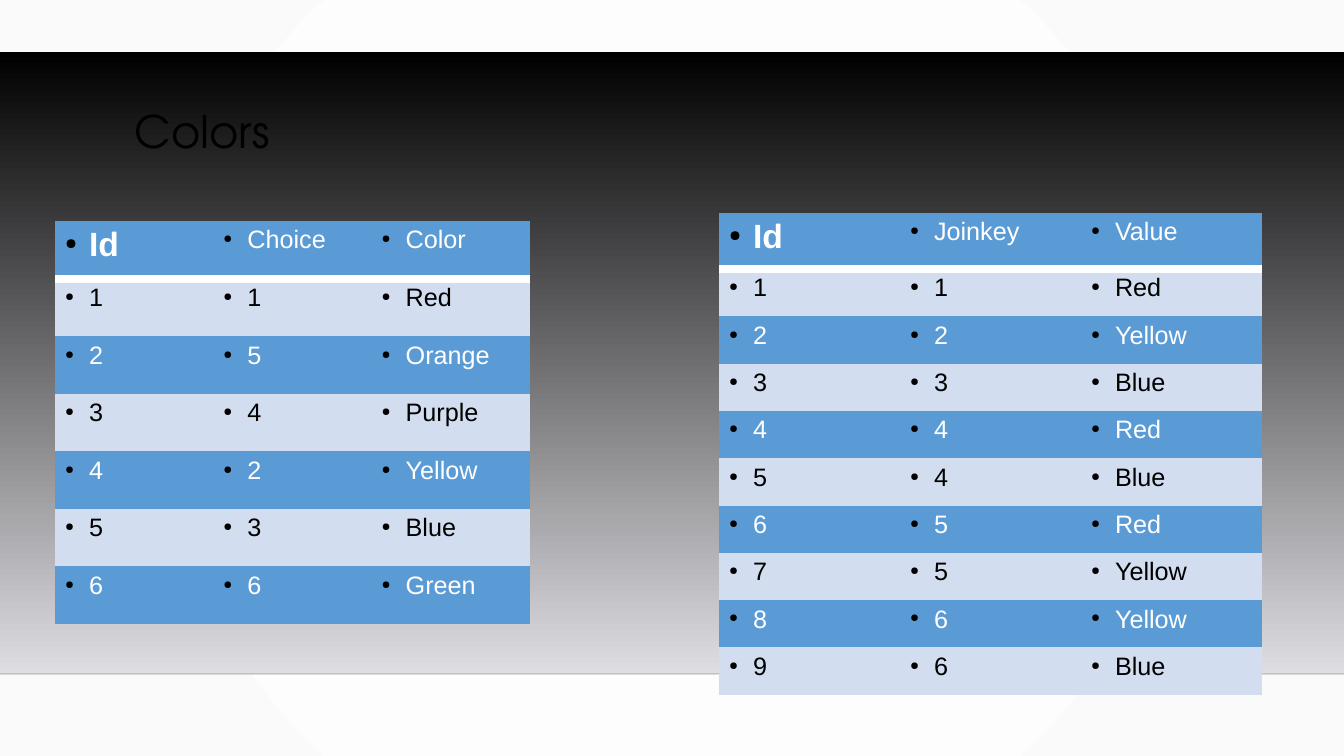
from pptx import Presentation
from pptx.dml.color import RGBColor
from pptx.enum.shapes import MSO_CONNECTOR, MSO_SHAPE
from pptx.enum.text import MSO_ANCHOR
from pptx.oxml import parse_xml
from pptx.oxml.ns import nsdecls, qn
from pptx.util import Pt

RECT = MSO_SHAPE.RECTANGLE
STRAIGHT = MSO_CONNECTOR.STRAIGHT
TOP = MSO_ANCHOR.TOP

W, H = 1344, 756
SCALE = 12192000 / W
BAND_TOP, BAND_BOTTOM = 52, 674
INDENT = 24
NO_STYLE = "{2D5ABB26-0587-4C30-8999-92F81FD0307C}"

COLORS = {
    "black": "000000", "white": "FFFFFF", "paper": "FAFAFA",
    "silver": "DEDEE2", "blue": "5B9BD5", "pale": "D2DEEF", "edge": "000001",
}
TITLE = {"text": "Colors", "box": (125, 105, 1058, 116)}
TITLE_FONT = {"name": "TeX Gyre Adventor", "size": Pt(32)}
KEY_FONT = {"name": "Arial", "size": Pt(24), "bold": True}
CELL_FONT = {"name": "Arial", "size": Pt(18), "bold": False}

TABLES = [
    {"box": (719, 213, 543, 482), "header": 56, "rows": [
        ("Id", "Joinkey", "Value"),
        ("1", "1", "Red"),
        ("2", "2", "Yellow"),
        ("3", "3", "Blue"),
        ("4", "4", "Red"),
        ("5", "4", "Blue"),
        ("6", "5", "Red"),
        ("7", "5", "Yellow"),
        ("8", "6", "Yellow"),
        ("9", "6", "Blue"),
    ]},
    {"box": (55, 221, 475, 403), "header": 58, "rows": [
        ("Id", "Choice", "Color"),
        ("1", "1", "Red"),
        ("2", "5", "Orange"),
        ("3", "4", "Purple"),
        ("4", "2", "Yellow"),
        ("5", "3", "Blue"),
        ("6", "6", "Green"),
    ]},
]


def px(n):
    return round(n * SCALE)


def rgb(name):
    return RGBColor.from_string(COLORS[name])


def xml(tag, attrs="", inner=""):
    return parse_xml(f'<a:{tag} {nsdecls("a")} {attrs}>{inner}</a:{tag}>')


def solid(name, inner=""):
    return f'<a:srgbClr val="{COLORS[name]}">{inner}</a:srgbClr>'


def set_gradient(fill, names):
    fill.gradient()
    for stop, name, position in zip(fill.gradient_stops, names, (0, 1)):
        stop.color.rgb = rgb(name)
        stop.position = position


def add_run(p, text, font, color):
    r = p.add_run()
    r.text = text
    for key, value in font.items():
        setattr(r.font, key, value)
    r.font.color.rgb = rgb(color)


def add_bullet(p):
    pPr = p._p.get_or_add_pPr()
    pPr.set("marL", str(px(INDENT)))
    pPr.set("indent", str(-px(INDENT)))
    pPr.append(xml("buClr", inner=solid("black")))
    pPr.append(xml("buSzPct", 'val="45000"'))
    pPr.append(xml("buChar", 'char="●"'))


def add_background(s):
    fill = s.background.fill
    set_gradient(fill, ("white", "paper"))
    lin = next(s._element.iter(qn("a:lin")))
    center = '<a:fillToRect l="50000" t="50000" r="50000" b="50000"/>'
    lin.getparent().replace(lin, xml("path", 'path="circle"', center))


def add_band(s):
    sp = s.shapes.add_shape(RECT, 0, px(BAND_TOP), px(W), px(BAND_BOTTOM - BAND_TOP))
    sp.shadow.inherit = False
    set_gradient(sp.fill, ("black", "silver"))
    sp.fill.gradient_angle = 270
    sp.line.fill.background()

    edge = s.shapes.add_connector(STRAIGHT, 0, px(BAND_BOTTOM), px(W), px(BAND_BOTTOM))
    edge.line.width = Pt(1)
    edge.line.color.rgb = rgb("edge")
    color = next(edge._element.spPr.iter(qn("a:srgbClr")))
    color.append(xml("alpha", 'val="20000"'))
    edge._element.spPr.append(xml("effectLst"))


def add_title(s):
    tf = s.shapes.add_textbox(*map(px, TITLE["box"])).text_frame
    tf.word_wrap = True
    tf.vertical_anchor = TOP
    p = tf.paragraphs[0]
    p.line_spacing = 0.9
    add_run(p, TITLE["text"], TITLE_FONT, "black")


def add_table(s, spec_table):
    rows = spec_table["rows"]
    box, header = spec_table["box"], spec_table["header"]
    columns = len(rows[0])
    table = s.shapes.add_table(len(rows), columns, *map(px, box)).table
    table.first_row = table.horz_banding = False
    next(table._tbl.iter(qn("a:tableStyleId"))).text = NO_STYLE
    for column in table.columns:
        column.width = px(box[2] / columns)
    body = (box[3] - header) / (len(rows) - 1)
    for i, values in enumerate(rows):
        table.rows[i].height = px(body if i else header)
        fill, color = ("pale", "black") if i % 2 else ("blue", "white")
        for j, value in enumerate(values):
            cell = table.cell(i, j)
            cell.fill.solid()
            cell.fill.fore_color.rgb = rgb(fill)
            p = cell.text_frame.paragraphs[0]
            add_bullet(p)
            add_run(p, value, KEY_FONT if i == j == 0 else CELL_FONT, color)
            if i == 0:
                rule = f'<a:solidFill>{solid("white")}</a:solidFill>'
                cell._tc.get_or_add_tcPr().insert(0, xml("lnB", f'w="{Pt(6)}"', rule))


def main():
    prs = Presentation()
    prs.slide_width, prs.slide_height = px(W), px(H)
    s = prs.slides.add_slide(prs.slide_layouts[6])
    add_background(s)
    add_band(s)
    add_title(s)
    for table in TABLES:
        add_table(s, table)
    prs.save("out.pptx")


if __name__ == "__main__":
    main()
